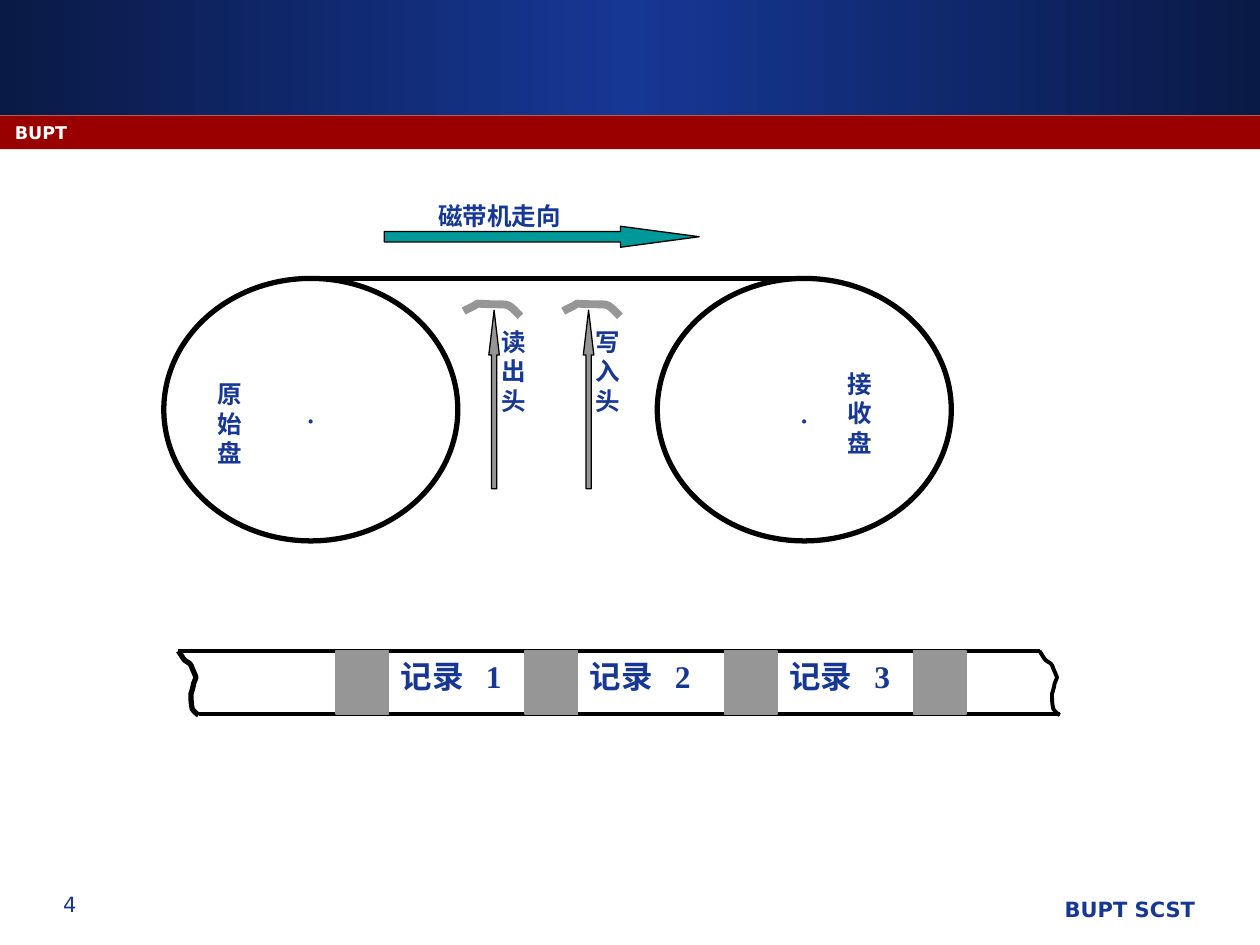
"""Build a slide on a tape drive, its heads and the records on the tape."""
from copy import deepcopy
from dataclasses import dataclass

from lxml import etree
from pptx import Presentation
from pptx.dml.color import RGBColor
from pptx.enum.shapes import MSO_CONNECTOR, MSO_SHAPE
from pptx.enum.text import MSO_ANCHOR, PP_ALIGN
from pptx.oxml.ns import qn
from pptx.util import Inches, Pt

RECT, OVAL = MSO_SHAPE.RECTANGLE, MSO_SHAPE.OVAL
RIGHT_ARROW, UP_ARROW = MSO_SHAPE.RIGHT_ARROW, MSO_SHAPE.UP_ARROW
STRAIGHT = MSO_CONNECTOR.STRAIGHT
LEFT, CENTER, RIGHT = PP_ALIGN.LEFT, PP_ALIGN.CENTER, PP_ALIGN.RIGHT
MIDDLE = MSO_ANCHOR.MIDDLE

COLUMNS, ROWS, CELLS_PER_INCH = 120, 90, 12
HEAD_CURVE = [(0, 1.08), (0.36, 0.84), (0.84, 0.72), (1.32, 0.36),
              (4.68, 0.6), (3.84, 0), (5.4, 1.56)]
TORN_CURVE = [(0, 0), (0.72, 1.08), (0.36, 0.72), (1.08, 1.2),
              (1.2, 1.32), (1.32, 1.56), (1.32, 1.68),
              (1.44, 1.92), (1.68, 2.52), (1.68, 2.52),
              (1.56, 2.76), (1.56, 2.88), (1.44, 3.12),
              (1.44, 3.36), (1.2, 4.08), (1.2, 4.08),
              (1.2, 4.56), (1.2, 5.04), (1.32, 5.52),
              (1.44, 5.76), (1.92, 6.12), (1.92, 6.12)]


@dataclass(frozen=True)
class Theme:
    """Hold the colours, fonts and type sizes."""
    navy: str = "163794"
    dark_navy: str = "0A1A46"
    red: str = "990000"
    teal: str = "009999"
    gray: str = "969696"
    black: str = "000000"
    white: str = "FFFFFF"
    sans: str = "DejaVu Sans"
    serif: str = "Times New Roman"
    brand: int = 10
    footer: int = 12
    label: int = 14
    record: int = 18
    hub: int = 20


THEME = Theme()


def cell(count):
    """Turn a number of grid cells into a length."""
    return Inches(count / CELLS_PER_INCH)


def set_line(line, color, width):
    """Give a line its colour and width."""
    line.color.rgb = RGBColor.from_string(color)
    line.width = Pt(width)


def write(box, words, size, color=THEME.navy, name=THEME.serif, bold=True, align=LEFT, tab=None):
    """Write one formatted paragraph, with a tab stop if given."""
    para = box.text_frame.paragraphs[0]
    para.alignment = align
    if tab:
        stops = etree.SubElement(para._p.get_or_add_pPr(), qn("a:tabLst"))
        etree.SubElement(stops, qn("a:tab"), pos=str(cell(tab)), algn="l")
    span = para.add_run()
    span.text = words
    for key, value in {"name": name, "size": Pt(size), "bold": bold}.items():
        setattr(span.font, key, value)
    span.font.color.rgb = RGBColor.from_string(color)


def add_label(page, area, words, size, **style):
    """Add a wrapping text box."""
    box = page.shapes.add_textbox(*map(cell, area))
    box.text_frame.word_wrap = True
    write(box, words, size, **style)


def add_block(page, kind, area, fill, line=None, width=0.75, adjust=()):
    """Add a flat preset shape."""
    box = page.shapes.add_shape(kind, *map(cell, area))
    box.shadow.inherit = False
    for index, value in enumerate(adjust):
        box.adjustments[index] = value
    box.fill.solid()
    box.fill.fore_color.rgb = RGBColor.from_string(fill)
    if line:
        set_line(box.line, line, width)
    else:
        box.line.fill.background()
    return box


def add_line(page, start, end, width):
    """Add a straight black line without a shadow."""
    line = page.shapes.add_connector(STRAIGHT, *map(cell, start + end))
    set_line(line.line, THEME.black, width)
    etree.SubElement(line._element.spPr, qn("a:effectLst"))


def bend(curve):
    """Join each three straight segments into one cubic curve."""
    segments = list(curve._element.iter(qn("a:lnTo")))
    for first in range(0, len(segments), 3):
        cubic = etree.SubElement(segments[first].getparent(), qn("a:cubicBezTo"))
        for segment in segments[first:first + 3]:
            cubic.append(segment[0])
            segment.getparent().remove(segment)


def add_curve(page, origin, controls, color, width):
    """Draw an open curve from an origin on the grid."""
    points = [(cell(origin[0] + x), cell(origin[1] + y)) for x, y in controls]
    builder = page.shapes.build_freeform(*points[0])
    builder.add_line_segments(points[1:], close=False)
    curve = builder.convert_to_shape()
    bend(curve)
    curve.shadow.inherit = False
    curve.fill.background()
    set_line(curve.line, color, width)


def add_header(page):
    """Add the gradient banner and the red strip."""
    banner = add_block(page, RECT, (0, 0, COLUMNS, 10.92), THEME.navy)
    banner.fill.gradient()
    banner.fill.gradient_angle = 0
    stops = banner._element.spPr.find(qn("a:gradFill")).find(qn("a:gsLst"))
    stops.insert(1, deepcopy(stops[0]))
    colors = (THEME.dark_navy, THEME.navy, THEME.dark_navy)
    for stop, color, place in zip(banner.fill.gradient_stops, colors, (0, 0.5, 1)):
        stop.color.rgb = RGBColor.from_string(color)
        stop.position = place
    add_block(page, RECT, (0, 11, COLUMNS, 3.2), THEME.red)
    add_label(page, (0.24, 11.04, 111, 3), "BUPT", THEME.brand, color=THEME.white, name=THEME.sans)


def add_footer(page):
    """Add the page number and the school name."""
    add_label(page, (50.5, 84.8, 64.5, 4.2), "BUPT SCST", THEME.footer,
              name=THEME.sans, align=RIGHT)
    add_label(page, (1.44, 84.28, 10.44, 4.2), "4", THEME.footer,
              name=THEME.sans, bold=False, align=CENTER)


def add_drive(page):
    """Add the reels, the tape between them and both heads."""
    for left in (15.6, 62.6):
        reel = add_block(page, OVAL, (left, 26.52, 28, 25), THEME.white, THEME.black, 3)
        reel.text_frame.word_wrap = False
        reel.text_frame.vertical_anchor = MIDDLE
        write(reel, ".", THEME.hub, bold=False, align=CENTER)
    add_line(page, (30.6, 26.52), (77.64, 26.52), 3)
    add_block(page, RIGHT_ARROW, (36.6, 21.55, 30, 2), THEME.teal, THEME.black, adjust=(0.5, 3.75))
    add_label(page, (40.56, 18.55, 17, 4), "磁带机走向", THEME.label)
    for words, left, curve_left in (("读出头", 46.56, 44.16), ("写入头", 55.56, 53.64)):
        add_block(page, UP_ARROW, (left, 29.55, 1, 17), THEME.gray, THEME.black, adjust=(0.5, 4.25))
        add_curve(page, (curve_left, 28.56), HEAD_CURVE, THEME.gray, 4.5)
        add_label(page, (left, 30.55, 6, 9.72), words, THEME.label)
    for words, left, top in (("原始盘", 19.5, 35.52), ("接收盘", 79.5, 34.55)):
        add_label(page, (left, top, 6, 9.72), words, THEME.label)


def add_tape(page):
    """Add the strip of tape with its gaps and records."""
    top, height, gap = 62, 6, 5
    add_line(page, (17, top), (99, top), 2.25)
    add_line(page, (19, top + height), (101, top + height), 2.25)
    for left, width in ((17, 3), (99, 2.25)):
        add_curve(page, (left, top), TORN_CURVE, THEME.black, width)
    gaps = (32, 50, 69, 87)
    for left in gaps:
        add_block(page, RECT, (left, top, gap, height), THEME.gray, THEME.gray)
    for number, left in enumerate(gaps[:-1], 1):
        add_label(page, (left + gap, top, 12, 4.8), f"记录\t{number}", THEME.record, tab=8.1)


def main():
    """Build and save the deck."""
    deck = Presentation()
    deck.slide_width, deck.slide_height = cell(COLUMNS), cell(ROWS)
    page = deck.slides.add_slide(deck.slide_layouts[6])
    for add_part in (add_header, add_footer, add_drive, add_tape):
        add_part(page)
    deck.save("out.pptx")


if __name__ == "__main__":
    main()
